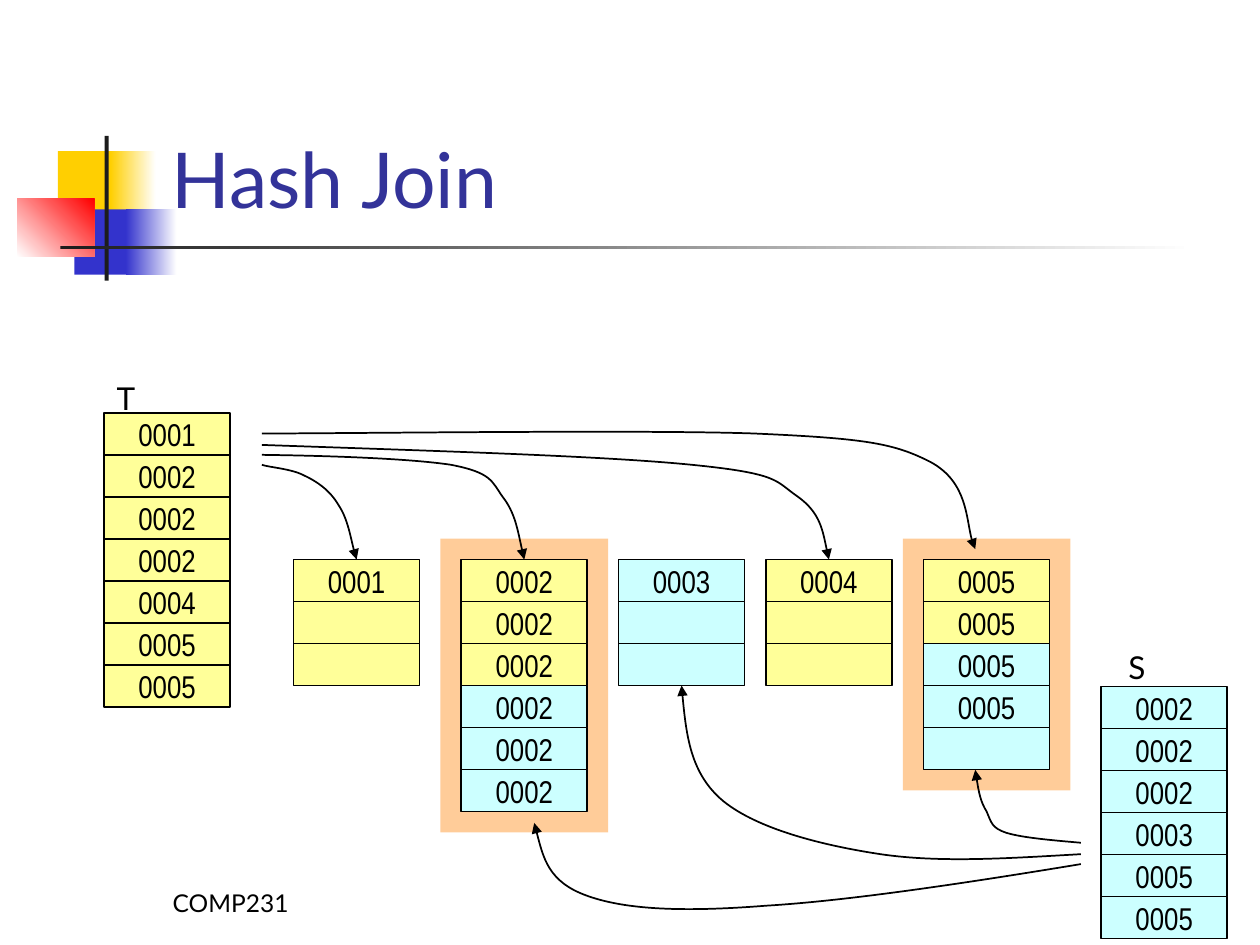
"""Build the Hash Join slide."""
from lxml import etree
from pptx import Presentation
from pptx import util as u
from pptx.dml import color
from pptx.enum import shapes, text
from pptx.oxml import ns

COLOURS = {
    "yellow": "FFCF01", "blue": "3333CC", "red": "FF0000", "white": "FFFFFF",
    "dark": "1C1C1C", "black": "000000", "title": "333399",
    "highlight": "FFCC99", "t": "FFFF99", "s": "CCFFFF",
}
CELL_WIDTH = 2.54
CELL_HEIGHT = 2.54 / 3
MARGIN = 0.42
BUCKET_TOP = 3.78

BUCKETS = [
    (3.82, [("0001", "t"), ("", "t"), ("", "t")], False),
    (7.2, [("0002", "t")] * 3 + [("0002", "s")] * 3, True),
    (10.37, [("0003", "s"), ("", "s"), ("", "s")], False),
    (13.34, [("0004", "t"), ("", "t"), ("", "t")], False),
    (16.52, [("0005", "t")] * 2 + [("0005", "s")] * 2 + [("", "s")], True),
]
RELATIONS = [
    ("T", "t", (0, 0.83), (0, 0.02), ["0001", "0002", "0002", "0002", "0004", "0005", "0005"]),
    ("S", "s", (20.1, 6.34), (20.4, 5.43), ["0002", "0002", "0002", "0003", "0005", "0005"]),
]
ARROWS = [
    [(3.18, 1.24), (4.83, 1.24), (10.88, 1.16), (13.11, 1.24), (15.38, 1.34),
     (15.93, 1.44), (16.67, 1.82), (17.41, 2.23), (17.38, 3.22), (17.56, 3.57)],
    [(3.18, 1.47), (6.61, 1.59), (10.04, 1.69), (11.84, 1.87), (13.65, 2.05),
     (13.52, 2.2), (13.98, 2.51), (14.44, 2.84), (14.51, 3.32), (14.61, 3.78)],
    [(3.18, 1.67), (4.68, 1.69), (6.18, 1.75), (6.99, 1.87), (7.81, 2.03),
     (7.81, 2.2), (8.03, 2.51), (8.29, 2.84), (8.36, 3.32), (8.47, 3.78)],
    [(3.18, 1.87), (3.31, 1.92), (3.77, 1.95), (4.02, 2.08), (4.28, 2.2),
     (4.55, 2.38), (4.73, 2.69), (4.91, 2.96), (5.01, 3.55), (5.09, 3.78)],
    [(19.69, 9.49), (19.11, 9.44), (18.52, 9.39), (18.19, 9.29), (17.89, 9.19),
     (17.89, 9.09), (17.79, 8.86), (17.66, 8.65), (17.61, 8.35), (17.56, 8.02)],
    [(19.69, 9.72), (18.27, 9.8), (16.87, 9.9), (15.65, 9.72), (14.46, 9.54),
     (13.17, 9.21), (12.48, 8.65), (11.82, 8.1), (11.72, 7.21), (11.64, 6.32)],
    [(19.69, 9.92), (17.33, 10.31), (14.99, 10.66), (13.34, 10.76), (11.67, 10.89),
     (10.52, 10.84), (9.74, 10.56), (8.95, 10.28), (8.82, 9.67), (8.67, 9.09)],
]


def rgb(name):
    """Return the named colour."""
    return color.RGBColor.from_string(COLOURS[name])


def add_run(paragraph, words, size, font="Lato", colour="black"):
    """Add one formatted run to a paragraph."""
    run = paragraph.add_run()
    run.text = words
    run.font.size = u.Pt(size)
    run.font.name = font
    run.font.color.rgb = rgb(colour)


def add_rectangle(slide, left, top, width, height, fill, fade_to=None, angle=0):
    """Add a borderless rectangle with a plain or two-colour gradient fill."""
    shape = slide.shapes.add_shape(
        shapes.MSO_SHAPE.RECTANGLE, u.Cm(left), u.Cm(top), u.Cm(width), u.Cm(height))
    shape.shadow.inherit = False
    shape.line.fill.background()
    if fade_to:
        shape.fill.gradient()
        shape.fill.gradient_angle = angle
        for stop, name in zip(shape.fill.gradient_stops, (fill, fade_to)):
            stop.color.rgb = rgb(name)
    else:
        shape.fill.solid()
        shape.fill.fore_color.rgb = rgb(fill)
    return shape


def add_label(slide, left, top, width, height, words, size, wrap, anchor):
    """Add a one-line text box."""
    frame = slide.shapes.add_textbox(
        u.Cm(left), u.Cm(top), u.Cm(width), u.Cm(height)).text_frame
    frame.word_wrap = wrap
    frame.vertical_anchor = anchor
    add_run(frame.paragraphs[0], words, size)


def add_ornament(slide, left, top):
    """Place the coloured squares and the crossed bars."""
    for x, y, width, height, *fill in [
        (0.82, 0.31, 1.22, 1.32, "yellow"),
        (1.88, 0.31, 0.91, 1.32, "yellow", "white"),
        (1.15, 1.48, 1.17, 1.32, "blue"),
        (2.19, 1.48, 1.02, 1.32, "blue", "white"),
        (0, 1.27, 1.55, 1.17, "white", "red", 45),
        (1.76, 0, 0.08, 2.92, "dark"),
        (0.87, 2.21, 22.86, 0.08, "dark", "white"),
    ]:
        add_rectangle(slide, left + x, top + y, width, height, *fill)


def format_title(slide, left, top, width, height):
    """Move the title placeholder and write the heading."""
    title = slide.shapes.title
    title.left, title.top = u.Cm(left), u.Cm(top)
    title.width, title.height = u.Cm(width), u.Cm(height)
    frame = title.text_frame
    frame.auto_size = text.MSO_AUTO_SIZE.NONE
    frame.vertical_anchor = text.MSO_ANCHOR.BOTTOM
    frame.paragraphs[0].alignment = text.PP_ALIGN.LEFT
    add_run(frame.paragraphs[0], "Hash Join", 44, colour="title")


def add_stack(slide, left, top, cells):
    """Stack bordered cells, given as pairs of value and colour."""
    for row, (value, fill) in enumerate(cells):
        cell = add_rectangle(
            slide, left, top + row * CELL_HEIGHT, CELL_WIDTH, CELL_HEIGHT, fill)
        cell.line.color.rgb = rgb("black")
        cell.line.width = u.Pt(1)
        if value:
            frame = cell.text_frame
            frame.word_wrap = False
            frame.vertical_anchor = text.MSO_ANCHOR.MIDDLE
            frame.paragraphs[0].alignment = text.PP_ALIGN.CENTER
            add_run(frame.paragraphs[0], value, 18, "Arial Narrow")


def add_curved_arrow(slide, left, top, points):
    """Draw cubic curves through a start point and triples of control points."""
    start, *rest = [(u.Cm(left + x), u.Cm(top + y)) for x, y in points]
    builder = slide.shapes.build_freeform(*start)
    builder.add_line_segments(rest, close=False)
    shape = builder.convert_to_shape()
    shape.shadow.inherit = False
    shape.fill.background()
    shape.line.color.rgb = rgb("black")
    shape.line.width = u.Pt(1)
    outline = next(shape.element.iter(ns.qn("a:path")))
    segments = outline.findall(ns.qn("a:lnTo"))
    for first in range(0, len(segments), 3):
        curve = etree.SubElement(outline, ns.qn("a:cubicBezTo"))
        for segment in segments[first:first + 3]:
            curve.append(segment[0])
            outline.remove(segment)
    line = shape.element.spPr.find(ns.qn("a:ln"))
    etree.SubElement(line, ns.qn("a:tailEnd"), type="triangle")


def add_diagram(slide, left, top):
    """Place the two relations, the hash buckets and the arrows between them."""
    for x, cells, matched in BUCKETS:
        if matched:
            add_rectangle(
                slide, left + x - MARGIN, top + BUCKET_TOP - MARGIN,
                CELL_WIDTH + 2 * MARGIN, len(cells) * CELL_HEIGHT + 2 * MARGIN, "highlight")
        add_stack(slide, left + x, top + BUCKET_TOP, cells)
    for points in ARROWS:
        add_curved_arrow(slide, left, top, points)
    for name, fill, (x, y), (label_x, label_y), values in RELATIONS:
        add_stack(slide, left + x, top + y, [(value, fill) for value in values])
        add_label(slide, left + label_x, top + label_y, 0.89, 1.02, name, 18,
                  False, text.MSO_ANCHOR.TOP)


def main():
    """Build and save the presentation."""
    presentation = Presentation()
    presentation.slide_width = u.Cm(25.4)
    presentation.slide_height = u.Cm(19.05)
    slide = presentation.slides.add_slide(presentation.slide_layouts[5])
    add_ornament(slide, 0.35, 2.74)
    format_title(slide, 3.2, 0.58, 21.64, 4.06)
    add_label(slide, 3.23, 17.35, 5.28, 1.27, "COMP231", 14, True, text.MSO_ANCHOR.BOTTOM)
    add_diagram(slide, 2.1, 7.5)
    presentation.save("out.pptx")


if __name__ == "__main__":
    main()
